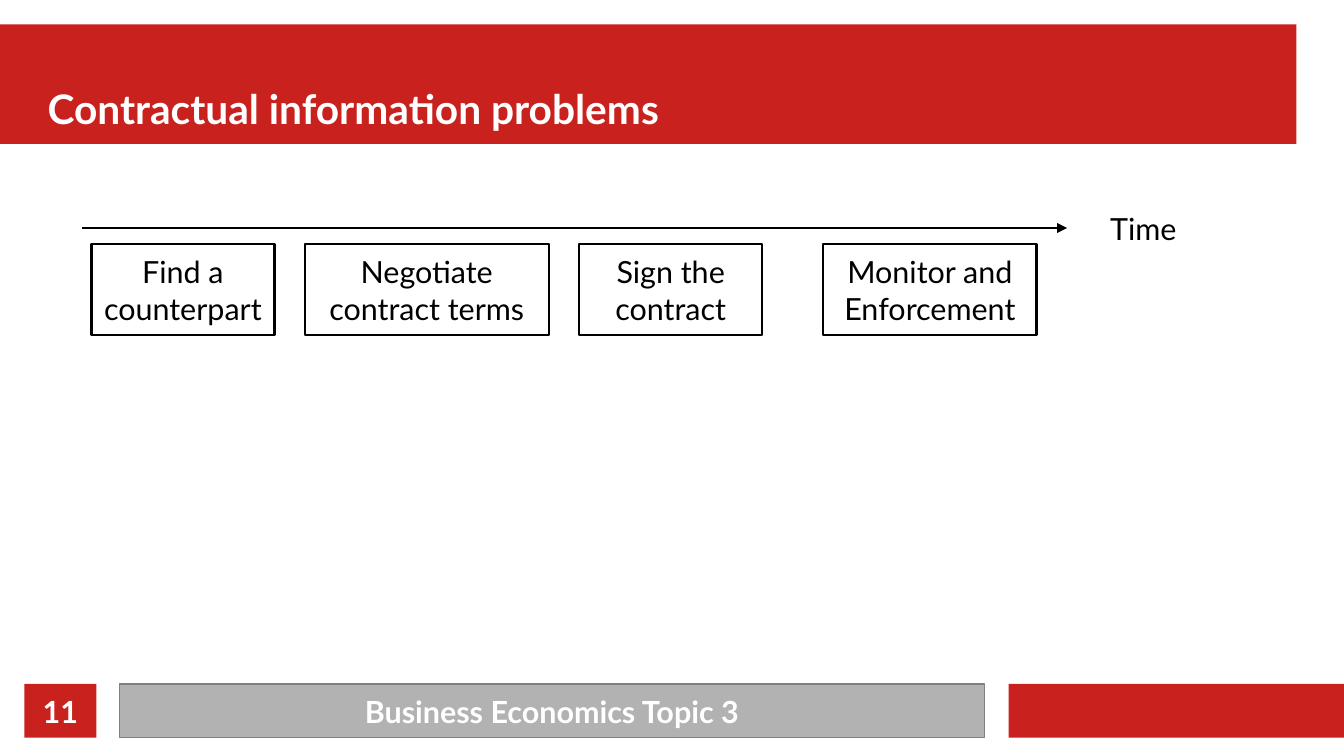
from lxml.etree import SubElement
from pptx import Presentation
from pptx.dml.color import RGBColor
from pptx.enum.shapes import MSO_CONNECTOR, MSO_SHAPE
from pptx.enum.text import MSO_ANCHOR, MSO_AUTO_SIZE, PP_ALIGN
from pptx.oxml.ns import qn
from pptx.util import Inches, Pt

RED = RGBColor(0xC9, 0x21, 0x1E)
GREY = RGBColor(0xB2, 0xB2, 0xB2)
DARK_GREY = RGBColor(0x80, 0x80, 0x80)
BLACK = RGBColor(0, 0, 0)
WHITE = RGBColor(0xFF, 0xFF, 0xFF)

FONT = "Lato"
LINE_WIDTH = 1.42
FOOTER_TOP, FOOTER_HEIGHT = 5.61, 0.44
STAGE_TOP, STAGE_HEIGHT = 2, 0.75
STAGES = [
    (0.75, 1.5, ["Find a", "counterpart"]),
    (2.5, 2, ["Negotiate", "contract terms"]),
    (4.75, 1.5, ["Sign the", "contract"]),
    (6.75, 1.75, ["Monitor and", "Enforcement"]),
]


def format_font(font, size, color, bold=False):
    """Set the typeface, size, colour and weight of a font."""
    font.name = FONT
    font.size = Pt(size)
    font.color.rgb = color
    font.bold = bold


def add_box(slide, left, top, width, height, fill, line=None, line_width=LINE_WIDTH):
    """Add a flat rectangle, outlined when a line colour is given."""
    box = slide.shapes.add_shape(
        MSO_SHAPE.RECTANGLE, Inches(left), Inches(top), Inches(width), Inches(height))
    box.shadow.inherit = False
    box.fill.solid()
    box.fill.fore_color.rgb = fill
    if line is None:
        box.line.fill.background()
    else:
        box.line.color.rgb = line
        box.line.width = Pt(line_width)
    return box


def write_lines(box, lines, color=BLACK, bold=False):
    """Write centred lines, one paragraph each, into a box."""
    frame = box.text_frame
    frame.word_wrap = False
    frame.vertical_anchor = MSO_ANCHOR.MIDDLE
    frame.text = "\n".join(lines)
    for paragraph in frame.paragraphs:
        paragraph.alignment = PP_ALIGN.CENTER
        format_font(paragraph.font, 18, color, bold)


def add_footer(slide):
    """Add the page number, the course name and the closing red bar."""
    add_box(slide, 8.27, FOOTER_TOP, 2.75, FOOTER_HEIGHT, RED)
    course = add_box(slide, 0.98, FOOTER_TOP, 7.09, FOOTER_HEIGHT, GREY, DARK_GREY, 0)
    write_lines(course, ["Business Economics Topic 3"], WHITE, True)
    number = add_box(slide, 0.2, FOOTER_TOP, 0.59, FOOTER_HEIGHT, RED)
    write_lines(number, ["11"], WHITE, True)


def add_title(slide, text):
    """Place the title placeholder on a red band."""
    add_box(slide, 0, 0.2, 10.63, 0.98, RED)
    title = slide.shapes.title
    slide.shapes.element.append(title.element)
    title.left, title.top = Inches(0.39), Inches(0.3)
    title.width, title.height = Inches(10.24), Inches(0.79)
    frame = title.text_frame
    frame.text = text
    frame.auto_size = MSO_AUTO_SIZE.NONE
    frame.vertical_anchor = MSO_ANCHOR.BOTTOM
    frame.margin_left = frame.margin_right = frame.margin_top = frame.margin_bottom = 0
    paragraph = frame.paragraphs[0]
    paragraph.alignment = PP_ALIGN.LEFT
    format_font(paragraph.font, 24, WHITE, True)


def add_arrow(slide, start, end, y):
    """Add a horizontal arrow that points right."""
    arrow = slide.shapes.add_connector(
        MSO_CONNECTOR.STRAIGHT, Inches(start), Inches(y), Inches(end), Inches(y))
    arrow.line.color.rgb = BLACK
    arrow.line.width = Pt(LINE_WIDTH)
    SubElement(arrow.line._get_or_add_ln(), qn("a:tailEnd"), type="triangle")
    SubElement(arrow.element.spPr, qn("a:effectLst"))


def add_timeline(slide):
    """Add the time axis and the contract stages below it."""
    add_arrow(slide, 0.67, 8.75, 1.87)
    for left, width, lines in STAGES:
        stage = add_box(slide, left, STAGE_TOP, width, STAGE_HEIGHT, WHITE, BLACK)
        write_lines(stage, lines)
    write_lines(add_box(slide, 9, 1.75, 0.75, 0.25, WHITE), ["Time"])


def main():
    """Build the slide and save it."""
    presentation = Presentation()
    presentation.slide_width = Inches(11.02)
    presentation.slide_height = Inches(6.2)
    slide = presentation.slides.add_slide(presentation.slide_layouts[5])
    add_title(slide, "Contractual information problems")
    add_timeline(slide)
    add_footer(slide)
    presentation.save("out.pptx")


if __name__ == "__main__":
    main()
